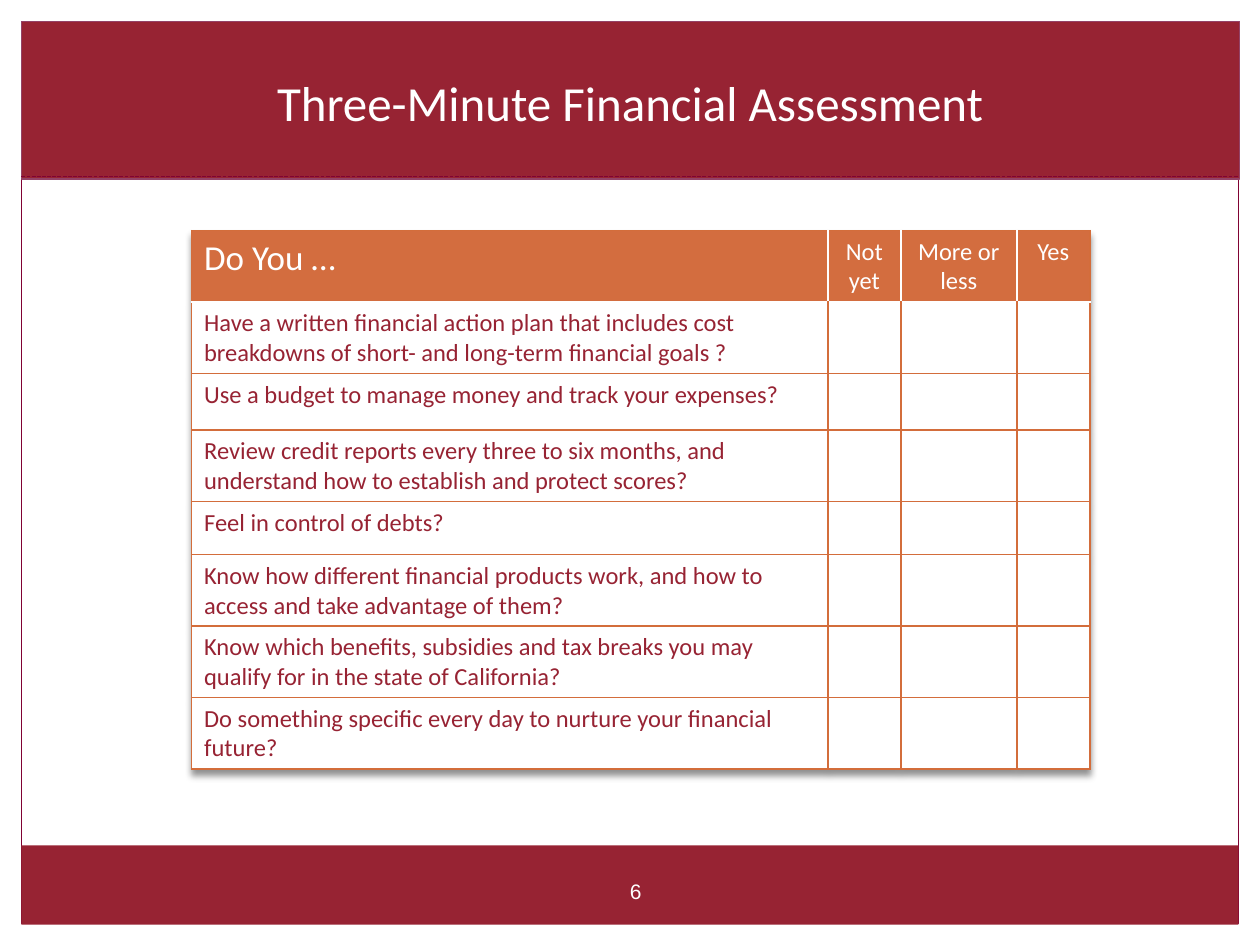
from lxml.etree import SubElement
from pptx import Presentation
from pptx.dml.color import RGBColor
from pptx.enum.dml import MSO_LINE
from pptx.enum.shapes import MSO_CONNECTOR, MSO_SHAPE
from pptx.enum.text import MSO_ANCHOR, PP_ALIGN
from pptx.oxml import parse_xml
from pptx.oxml.ns import nsdecls, qn
from pptx.util import Inches, Pt

WHITE = RGBColor(0xFF, 0xFF, 0xFF)
CRIMSON = RGBColor(0x97, 0x23, 0x33)
FRAME = RGBColor(0x80, 0x02, 0x33)
PLUM = RGBColor(0x93, 0x42, 0x67)
ORANGE = RGBColor(0xD3, 0x6D, 0x3F)
RULE = RGBColor(0xD3, 0x6D, 0x3B)

# Content
TITLE = "Three-Minute Financial Assessment"
PAGE_NUMBER = "6"
HEADERS = ["Do You …", "Not yet", "More or less", "Yes"]
# question, row height, space before
QUESTIONS = [
    ("Have a written financial action plan that includes cost breakdowns "
     "of short- and long-term financial goals ?", 0.52, 0),
    ("Use a budget to manage money and track your expenses?", 0.45, 0),
    ("Review credit reports every three to six months, and understand "
     "how to establish and protect scores?", 0.55, 0),
    ("Feel in control of debts?", 0.42, 6),
    ("Know how different financial products work, and how to access "
     "and take advantage of them?", 0.56, 6),
    ("Know which benefits, subsidies and tax breaks you may qualify for "
     "in the state of California?", 0.55, 6),
    ("Do something specific every day to nurture your financial future?", 0.55, 6),
]

# Layout in inches
WIDTH, HEIGHT, MARGIN = 10, 7.5, 0.17
INNER = WIDTH - 2 * MARGIN
TABLE_LEFT, TABLE_TOP = 1.52, 1.83
COLUMNS = [5.05, 0.58, 0.92, 0.58]
HEADER_HEIGHT = 0.53
ROWS = [HEADER_HEIGHT] + [height for _, height, _ in QUESTIONS]

presentation = Presentation()
presentation.slide_width, presentation.slide_height = Inches(WIDTH), Inches(HEIGHT)
slide = presentation.slides.add_slide(presentation.slide_layouts[6])


def add_box(left, top, width, height, fill=None, line=None):
    shape = slide.shapes.add_shape(
        MSO_SHAPE.RECTANGLE, *map(Inches, (left, top, width, height)))
    shape.shadow.inherit = False
    if fill is None:
        shape.fill.background()
    else:
        shape.fill.solid()
        shape.fill.fore_color.rgb = fill
    if line is None:
        shape.line.fill.background()
    else:
        shape.line.color.rgb = line
        shape.line.width = Pt(0.75)


def write(text_frame, text, size, color, font="Calibri",
          align=PP_ALIGN.CENTER, space_before=0):
    text_frame.text = text
    paragraph = text_frame.paragraphs[0]
    paragraph.alignment = align
    paragraph.space_before = Pt(space_before)
    for run in paragraph.runs:
        run.font.size, run.font.name = Pt(size), font
        run.font.color.rgb = color


def add_text(left, top, width, height, text, size, font, anchor):
    text_frame = slide.shapes.add_textbox(
        *map(Inches, (left, top, width, height))).text_frame
    text_frame.word_wrap = True
    text_frame.vertical_anchor = anchor
    write(text_frame, text, size, WHITE, font)


def style_cell(cell, fill, borders):
    properties = cell._tc.get_or_add_tcPr()
    for side, color in zip("LRTB", borders):
        properties.append(parse_xml(
            f'<a:ln{side} {nsdecls("a")} w="12700"><a:solidFill>'
            f'<a:srgbClr val="{color}"/></a:solidFill></a:ln{side}>'))
    cell.fill.solid()
    cell.fill.fore_color.rgb = fill


# Side margins, frame, title band and footer band
for left in (0, WIDTH - MARGIN):
    add_box(left, 0, MARGIN, HEIGHT, fill=WHITE)
add_box(MARGIN, MARGIN, INNER, HEIGHT - 2 * MARGIN, line=FRAME)
add_box(MARGIN, MARGIN, INNER + 0.01, 1.25, fill=CRIMSON, line=PLUM)
divider = slide.shapes.add_connector(
    MSO_CONNECTOR.STRAIGHT,
    *map(Inches, (MARGIN, 1.4, WIDTH - MARGIN, 1.4)))
divider.line.color.rgb, divider.line.width = FRAME, Pt(0.75)
divider.line.dash_style = MSO_LINE.SQUARE_DOT
SubElement(divider._element.spPr, qn("a:effectLst"))
add_box(MARGIN, 6.71, INNER, 0.63, fill=CRIMSON)

# Page number and title
add_text(4.42, 6.92, 1.25, 0.3, PAGE_NUMBER, 12, "Arial", MSO_ANCHOR.TOP)
add_text(0.5, 0.33, 9, 0.95, TITLE, 28, "Calibri", MSO_ANCHOR.MIDDLE)

# Assessment table with a soft shadow below it
table = slide.shapes.add_table(
    len(ROWS), len(COLUMNS), Inches(TABLE_LEFT), Inches(TABLE_TOP),
    Inches(sum(COLUMNS)), Inches(sum(ROWS))).table
table.first_row = table.horz_banding = False
table._tbl.tblPr.insert(0, parse_xml(
    f'<a:effectLst {nsdecls("a")}><a:outerShdw blurRad="50800" dist="38100" '
    'dir="5400000" rotWithShape="0"><a:srgbClr val="000000">'
    '<a:alpha val="43000"/></a:srgbClr></a:outerShdw></a:effectLst>'))
for column, width in zip(table.columns, COLUMNS):
    column.width = Inches(width)
for row, height in zip(table.rows, ROWS):
    row.height = Inches(height)

# Header row: white rules between cells, orange at the outer edges
last = len(COLUMNS) - 1
for index, header in enumerate(HEADERS):
    cell = table.cell(0, index)
    first = index == 0
    write(cell.text_frame, header, 20 if first else 14, WHITE,
          align=PP_ALIGN.LEFT if first else PP_ALIGN.CENTER,
          space_before=12 if first else 6)
    style_cell(cell, ORANGE, (RULE if first else WHITE,
                              RULE if index == last else WHITE, RULE, WHITE))

# Question rows with empty answer cells
for row_index, (question, _, space_before) in enumerate(QUESTIONS, start=1):
    write(table.cell(row_index, 0).text_frame, question, 14, CRIMSON,
          align=PP_ALIGN.LEFT, space_before=space_before)
    top = WHITE if row_index == 1 else RULE
    for index in range(len(COLUMNS)):
        style_cell(table.cell(row_index, index), WHITE, (RULE, RULE, top, RULE))

presentation.save("out.pptx")
